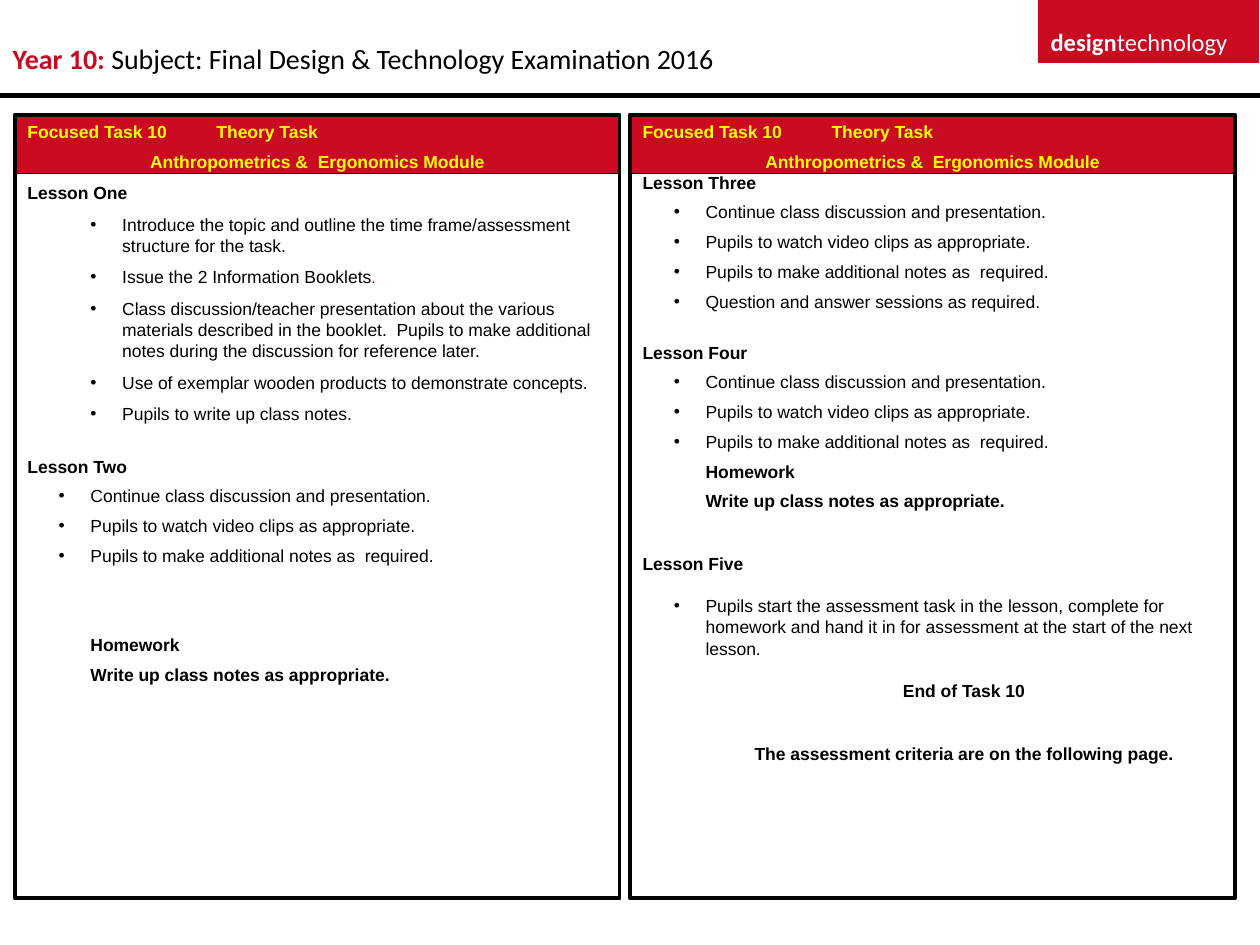
import lxml.etree
import pptx
import pptx.dml.color
import pptx.enum.shapes
import pptx.enum.text
import pptx.oxml.ns
import pptx.util
from pptx.util import Cm, Pt

COLOURS = {"red": "CA0A20", "black": "000000", "white": "FFFFFF",
           "yellow": "FFFF00", "bright red": "FF0000"}

# Style: bold, colour, level, left margin (cm), bulleted, centred
STYLES = {
    "header": (True, "yellow", 0, 0, False, False),
    "header centred": (True, "yellow", 0, 0, False, True),
    "lesson": (True, "black", 0, 0, False, False),
    "bullet": (False, "black", 1, 1.27, True, False),
    "deep bullet": (False, "black", 2, 1.91, True, False),
    "note": (True, "black", 1, 1.27, False, False),
    "note centred": (True, "black", 1, 1.27, False, True),
}

# Each line: style, space before in points, text
HEADER = [
    ("header", 0, "Focused Task 10\tTheory Task"),
    ("header centred", 5, "Anthropometrics &  Ergonomics Module"),
]
CLASS_WORK = [
    ("bullet", 5, "Continue class discussion and presentation."),
    ("bullet", 5, "Pupils to watch video clips as appropriate."),
    ("bullet", 5, "Pupils to make additional notes as  required."),
]
WRITE_UP = ("note", 5, "Write up class notes as appropriate.")
LEFT_LINES = HEADER + [
    ("lesson", 6, "Lesson One"),
    ("deep bullet", 6, "Introduce the topic and outline the time frame/assessment "
                       "structure for the task."),
    ("deep bullet", 6, "Issue the 2 Information Booklets"),
    ("deep bullet", 6, "Class discussion/teacher presentation about the various materials "
                       "described in the booklet.  Pupils to make additional notes during "
                       "the discussion for reference later."),
    ("deep bullet", 6, "Use of exemplar wooden products to demonstrate concepts."),
    ("deep bullet", 6, "Pupils to write up class notes."),
    ("lesson", 18, "Lesson Two"),
    *CLASS_WORK,
    ("note", 39, "Homework"),
    WRITE_UP,
]
RIGHT_LINES = HEADER + [
    ("lesson", 0, "Lesson Three"),
    *CLASS_WORK,
    ("bullet", 5, "Question and answer sessions as required."),
    ("lesson", 17, "Lesson Four"),
    *CLASS_WORK,
    ("note", 5, "Homework"),
    WRITE_UP,
    ("lesson", 24, "Lesson Five"),
    ("bullet", 12, "Pupils start the assessment task in the lesson, complete for homework "
                   "and hand it in for assessment at the start of the next lesson."),
    ("note centred", 12, "End of Task 10"),
    ("note centred", 24, "The assessment criteria are on the following page."),
]


def rgb(name):
    return pptx.dml.color.RGBColor.from_string(COLOURS[name])


def add_run(paragraph, text, font_name, size, colour, bold):
    run = paragraph.add_run()
    run.text = text
    run.font.name = font_name
    run.font.size = Pt(size)
    run.font.color.rgb = rgb(colour)
    run.font.bold = bold


presentation = pptx.Presentation()
presentation.slide_width, presentation.slide_height = Cm(25.4), Cm(19.05)
slide = presentation.slides.add_slide(presentation.slide_layouts[3])
title, left_list, right_list = slide.placeholders

# Title
title.left, title.top, title.width, title.height = Cm(0), Cm(0.71), Cm(20.7), Cm(0.94)
title.text_frame.auto_size = pptx.enum.text.MSO_AUTO_SIZE.NONE
title.text_frame.vertical_anchor = pptx.enum.text.MSO_ANCHOR.TOP
paragraph = title.text_frame.paragraphs[0]
paragraph.alignment = pptx.enum.text.PP_ALIGN.LEFT
add_run(paragraph, "Year 10:", "Calibri", 16, "red", True)
add_run(paragraph, " Subject: Final Design & Technology Examination 2016",
        "Calibri", 16, "black", False)

# Subject tag in the top right corner
tag = slide.shapes.add_shape(pptx.enum.shapes.MSO_SHAPE.RECTANGLE,
                             Cm(20.93), Cm(0), Cm(4.45), Cm(1.27))
tag.shadow.inherit = False
tag.fill.solid()
tag.fill.fore_color.rgb = rgb("red")
tag.line.fill.background()
tag_text = slide.shapes.add_textbox(Cm(20.93), Cm(0.43), Cm(4.47), Cm(0.84))
tag_text.text_frame.word_wrap = False
paragraph = tag_text.text_frame.paragraphs[0]
add_run(paragraph, "design", "Calibri", 14, "white", True)
add_run(paragraph, "technology", "Calibri", 14, "white", False)

# Rule under the title
rule = slide.shapes.add_connector(pptx.enum.shapes.MSO_CONNECTOR.STRAIGHT,
                                  Cm(0), Cm(1.93), Cm(25.4), Cm(1.93))
rule.line.color.rgb = rgb("black")
rule.line.width = Pt(3)
lxml.etree.SubElement(rule.element.spPr, pptx.oxml.ns.qn("a:effectLst"))

# Two framed lesson panels, each with a red band behind its header
for panel, left, lines in ((left_list, 0.3, LEFT_LINES), (right_list, 12.7, RIGHT_LINES)):
    band = slide.shapes.add_shape(pptx.enum.shapes.MSO_SHAPE.RECTANGLE,
                                  Cm(left), Cm(2.31), Cm(12.19), Cm(1.19))
    band.shadow.inherit = False
    band.fill.solid()
    band.fill.fore_color.rgb = rgb("red")
    band.line.color.rgb = rgb("black")
    band.line.width = Pt(0.75)

    band.element.addnext(panel.element)
    panel.left, panel.top, panel.width, panel.height = Cm(left), Cm(2.31), Cm(12.19), Cm(15.8)
    panel.line.color.rgb = rgb("black")
    panel.line.width = Pt(2.25)
    text_frame = panel.text_frame
    text_frame.auto_size = pptx.enum.text.MSO_AUTO_SIZE.NONE
    text_frame.vertical_anchor = pptx.enum.text.MSO_ANCHOR.TOP
    text_frame.text = "\n".join(text for style, space, text in lines)

    for paragraph, (style, space, text) in zip(text_frame.paragraphs, lines):
        bold, colour, level, margin, bulleted, centred = STYLES[style]
        paragraph.level = level
        paragraph.space_before = Pt(space)
        if centred:
            paragraph.alignment = pptx.enum.text.PP_ALIGN.CENTER
        font = paragraph.runs[0].font
        font.name, font.size, font.bold = "Arial", Pt(10), bold
        font.color.rgb = rgb(colour)
        properties = paragraph._p.get_or_add_pPr()
        properties.set("marL", str(Cm(margin)))
        properties.set("indent", str(Cm(-0.64) if bulleted else 0))
        if bulleted:
            bullet = lxml.etree.SubElement(properties, pptx.oxml.ns.qn("a:buChar"))
            bullet.set("char", "•")
        else:
            lxml.etree.SubElement(properties, pptx.oxml.ns.qn("a:buNone"))
        if text.endswith("Booklets"):
            add_run(paragraph, ".", "Arial", 10, "bright red", False)

presentation.save("out.pptx")
